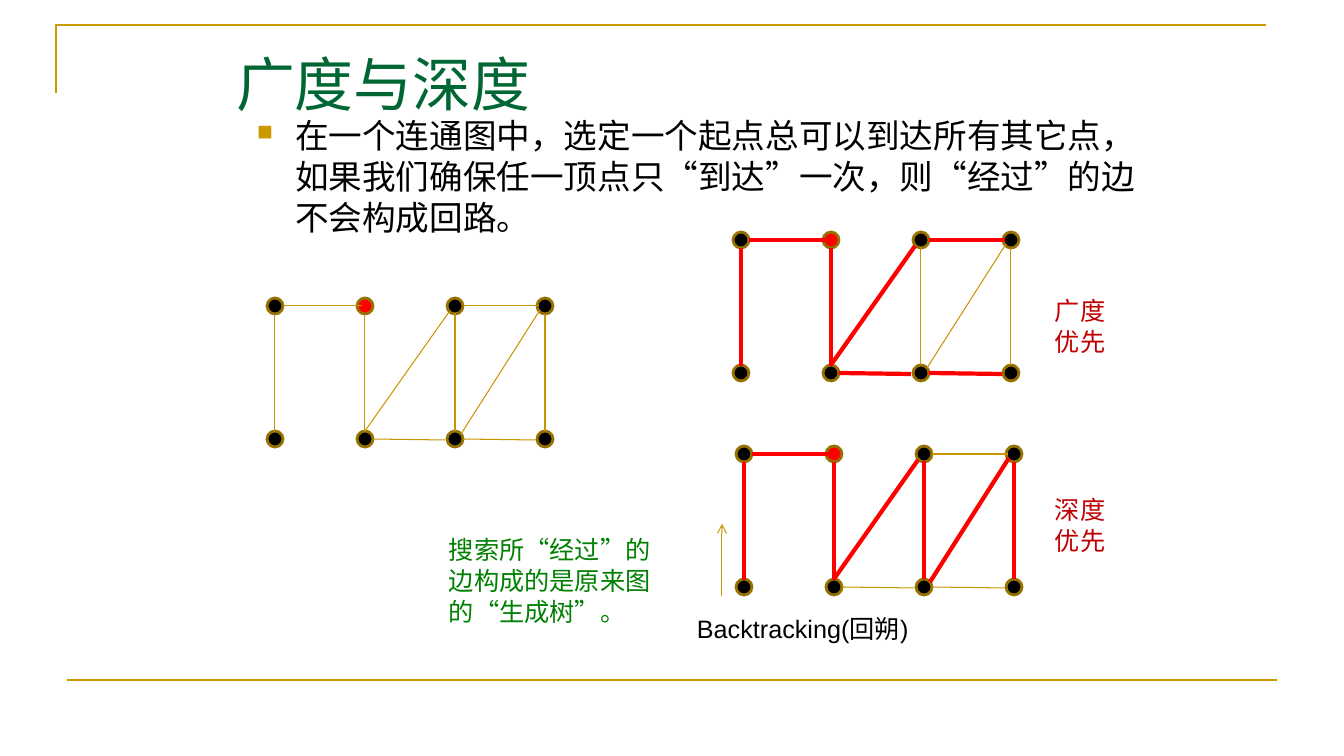
from lxml.etree import SubElement
from pptx import Presentation
from pptx.dml.color import RGBColor
from pptx.enum.shapes import MSO_CONNECTOR, MSO_SHAPE
from pptx.enum.text import MSO_ANCHOR
from pptx.oxml.ns import qn
from pptx.util import Pt

SCALE = 914400 / 100.8
GOLD, THIN, RING = "CC9900", "C89600", "977100"
RED, BLACK = "FF0000", "000000"
SANS = "Noto Sans CJK SC"

# Graph layout: dot size, column and row steps, start dot
DOT, STEP, DROP, START = 16, 90, 133, (0, 1)
# Edge ends, measured from the top left of a graph
EDGES = [
    (8, 16, 8, 134), (16, 8, 95, 8), (98, 16, 98, 134), (106, 141, 178, 142),
    (98, 133, 182, 14), (196, 8, 272, 8), (188, 133, 188, 15),
    (196, 141, 269, 142), (278, 133, 278, 16), (194, 136, 273, 12),
]
BREADTH = {0, 1, 2, 3, 4, 5, 7}
DEPTH = {0, 1, 2, 4, 6, 8, 9}


def px(n):
    return round(n * SCALE)


def color(code):
    return RGBColor.from_string(code)


def add_line(slide, ends, code, width):
    line = slide.shapes.add_connector(MSO_CONNECTOR.STRAIGHT, *map(px, ends))
    line.line.color.rgb = color(code)
    line.line.width = Pt(width)
    SubElement(line._element.spPr, qn("a:effectLst"))
    return line


def add_text(slide, box, text, size, code, font, lead, anchor=MSO_ANCHOR.TOP, mark=False):
    frame = slide.shapes.add_textbox(*map(px, box)).text_frame
    frame.word_wrap = True
    frame.vertical_anchor = anchor
    frame.margin_left = frame.margin_right = px(10)
    frame.margin_top = frame.margin_bottom = px(5)
    para = frame.paragraphs[0]
    para.text = text
    para.line_spacing = Pt(lead)
    if mark:
        add_mark(para)
    para.font.size = Pt(size)
    para.font.color.rgb = color(code)
    para.font.name = font
    SubElement(para.font._element, qn("a:ea"), typeface=SANS)


def add_mark(para):
    props = para._p.get_or_add_pPr()
    props.set("marL", str(px(38)))
    props.set("indent", str(-px(38)))
    tint = SubElement(props, qn("a:buClr"))
    SubElement(tint, qn("a:srgbClr"), val=GOLD)
    SubElement(props, qn("a:buSzPct"), val="65000")
    SubElement(props, qn("a:buChar"), char="■")


def add_frame(slide, left, top, width, height):
    # Corner rule at the top, straight rule at the bottom
    path = slide.shapes.build_freeform(px(left), px(top + 68))
    path.add_line_segments(
        [(px(left), px(top)), (px(left + width), px(top))], close=False)
    corner = path.convert_to_shape()
    corner.shadow.inherit = False
    corner.fill.background()
    corner.line.color.rgb = color(GOLD)
    corner.line.width = Pt(1.5)
    low = top + height
    add_line(slide, (left + 11, low, left + 11 + width, low), GOLD, 1.5)


def add_graph(slide, left, top, tree=()):
    # Dots in two rows of four
    for row in range(2):
        for col in range(4):
            spot = (left + col * STEP, top + row * DROP, DOT, DOT)
            dot = slide.shapes.add_shape(MSO_SHAPE.OVAL, *map(px, spot))
            dot.shadow.inherit = False
            dot.fill.solid()
            dot.fill.fore_color.rgb = color(RED if (row, col) == START else BLACK)
            dot.line.color.rgb = color(RING)
            dot.line.width = Pt(2)
    # Edges, those of the search tree in bold red
    for i, (x1, y1, x2, y2) in enumerate(EDGES):
        style = (RED, 3) if i in tree else (THIN, 0.75)
        add_line(slide, (left + x1, top + y1, left + x2, top + y2), *style)


def add_search(slide, left, top, tree, label, drop):
    # Search tree with its name on the right
    add_graph(slide, left, top, tree)
    add_text(slide, (1045, top + drop, 88, 72), label, 18, "C00000", SANS, 22)


def add_back(slide, left, top):
    # Upward arrow over its caption
    arrow = add_line(slide, (left + 35, top - 12, left + 35, top - 84), THIN, 0.75)
    SubElement(arrow.line._get_or_add_ln(), qn("a:tailEnd"), type="arrow")
    add_text(slide, (left, top, 244, 40), "Backtracking(回朔)", 18, BLACK, "Arial", 22)


def main():
    deck = Presentation()
    deck.slide_width, deck.slide_height = px(1344), px(756)
    slide = deck.slides.add_slide(deck.slide_layouts[6])
    add_frame(slide, 56, 25, 1210, 655)
    # Heading and text
    add_text(slide, (247, 110, 907, 146),
             "在一个连通图中，选定一个起点总可以到达所有其它点，"
             "如果我们确保任一顶点只“到达”一次，则“经过”的边不会构成回路。",
             24, BLACK, "Arial", 29, mark=True)
    add_text(slide, (226, 36, 907, 94), "广度与深度", 42, "006633",
             "Times New Roman", 51, MSO_ANCHOR.MIDDLE)
    add_text(slide, (439, 529, 227, 102), "搜索所“经过”的边构成的是原来图的“生成树”。",
             18, "008000", SANS, 22)
    # Graphs
    add_graph(slide, 267, 298)
    add_search(slide, 733, 232, BREADTH, "广度优先", 58)
    add_search(slide, 736, 446, DEPTH, "深度优先", 43)
    add_back(slide, 687, 608)
    deck.save("out.pptx")


if __name__ == "__main__":
    main()
